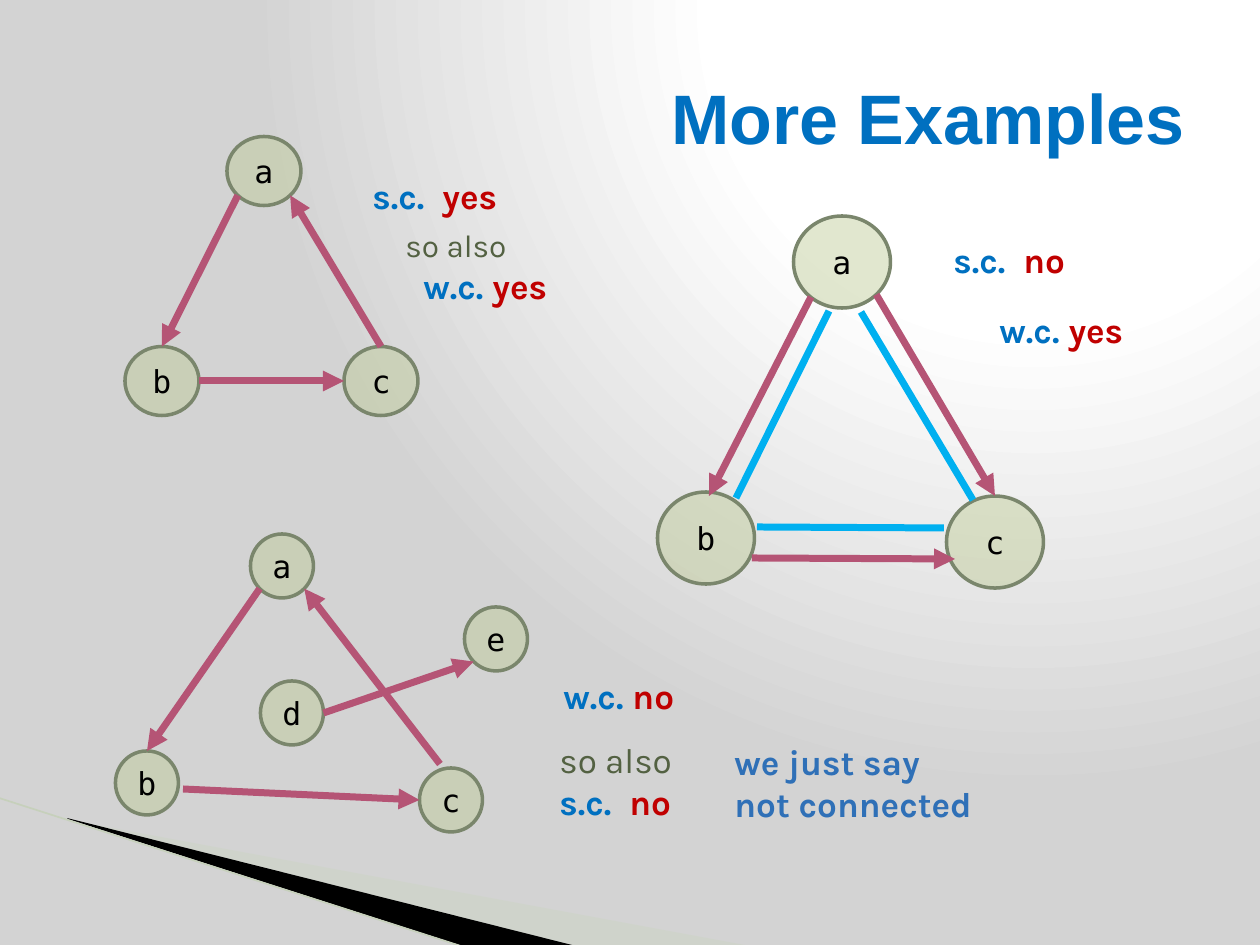
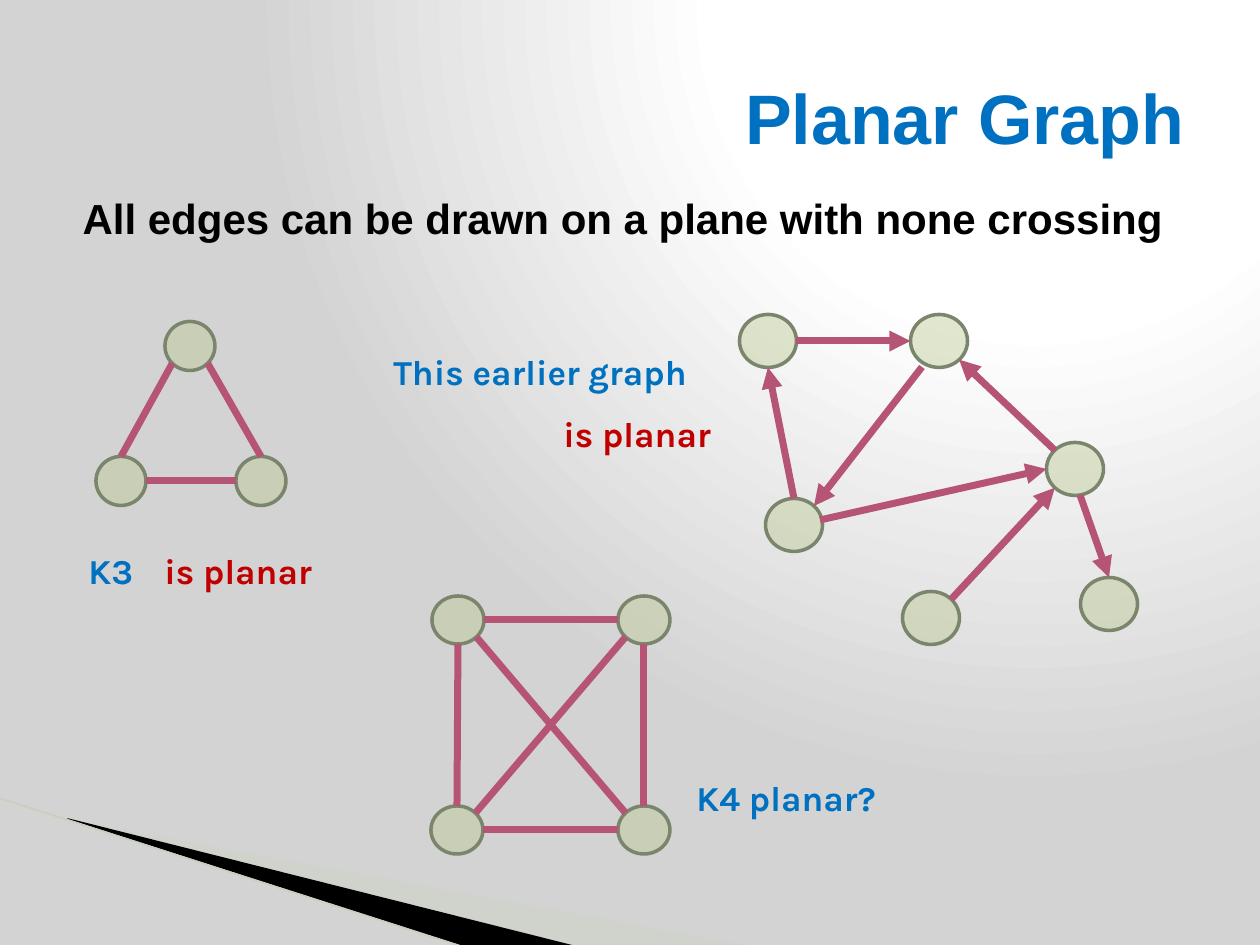
import math
from lxml import etree
from pptx import Presentation
from pptx import util as u
from pptx.dml.color import RGBColor
from pptx.enum import shapes, text
from pptx.oxml import parse_xml
from pptx.oxml.ns import nsdecls, qn

PX = 914400 / 126
BLUE, RED, OLIVE, SAY = "0070C0", "C00000", "536142", "2F70B7"
EDGE, SKY, NODE, RIM = "B55475", "00B0F0", "BECB95", "7A866C"
SITES = {name: math.radians(45 * i) for i, name in
         enumerate(["e", "se", "s", "sw", "w", "nw", "n", "ne"])}
TAB = 70
rgb = RGBColor.from_string


def paint(sp, color, opacity=100):
    sp.shadow.inherit = False
    sp.fill.solid()
    sp.fill.fore_color.rgb = rgb(color)
    if opacity < 100:
        clr = sp.element.spPr.find(qn("a:solidFill"))[0]
        etree.SubElement(clr, qn("a:alpha")).set("val", str(opacity * 1000))


def write(p, words, font, size, color, bold=True):
    r = p.add_run()
    r.text = words
    r.font.name, r.font.size, r.font.bold = font, u.Pt(size), bold
    r.font.color.rgb = rgb(color)


# Graph: node size, node centres, edges (from, to), line colour, arrows.
# Label: box, then paragraphs of (indent, runs).
slides = [
    dict(
        title="More Examples",
        graphs=[
            ((97, 92), dict(a=(842, 262), b=(706, 538), c=(995, 542)),
             [((811, 297), (709, 496)), ("a se", "c n"), ((752, 558), (955, 559))], EDGE, True),
            ((74, 69), dict(a=(264, 171), b=(162, 381), c=(381, 381)),
             [("a sw", "b n"), ("c n", "a se"), ("b e", "c w")], EDGE, True),
            ((63, 64), dict(a=(282, 566), b=(147, 783), c=(451, 800), d=(292, 713), e=(496, 639)),
             [("a sw", "b n"), ((440, 764), "a se"), ((183, 789), "c w"), ("d e", "e sw")],
             EDGE, True),
            ((0, 0), {}, [((829, 311), (736, 498)), ((861, 312), (973, 500)),
                          ((944, 528), (757, 527))], SKY, False),
        ],
        labels=[
            ((941, 232, 169, 55), [(0, [("s.c.\t", BLUE), ("no", RED)])]),
            ((360, 168, 169, 55), [(0, [("s.c.\t", BLUE), ("yes", RED)])]),
            ((551, 668, 169, 55), [(0, [("w.c. ", BLUE), ("no", RED)])]),
            ((722, 734, 322, 97), [(0, [("we just say", SAY)]), (0, [("not connected", SAY)])]),
            ((987, 302, 169, 55), [(0, [("w.c. ", BLUE), ("yes", RED)])]),
            ((393, 220, 188, 93), [(0, [("so also", OLIVE, 18)]),
                                   (18, [("w.c. ", BLUE), ("yes", RED)])]),
            ((547, 732, 169, 97), [(0, [("so also", OLIVE)]),
                                   (0, [("s.c.\t", BLUE), ("no", RED)])]),
        ]),
    dict(
        title="Planar Graph",
        body="All edges can be drawn on a plane with none crossing",
        graphs=[
            ((50, 49), dict(a=(190, 346), b=(121, 481), c=(261, 481)),
             [("b n", "a sw"), ("b e", "c w"), ("a se", "c n")], EDGE, False),
            ((57, 53), dict(a=(768, 341), b=(939, 341), c=(794, 525),
                            d=(931, 618), e=(1109, 604), f=(1075, 469)),
             [("a e", "b w"), ((922, 367), (814, 506)), ((820, 520), "f w"), ("d ne", "f sw"),
              ((1080, 495), "e n"), ("f nw", "b se"), ("c n", "a s")], EDGE, True),
            ((52, 48), dict(a=(458, 620), b=(644, 620), c=(457, 830), d=(644, 830)),
             [("c e", "d w"), ("a s", "c n"), ("b s", "d n"), ("d nw", "a se"),
              ("a e", "b w"), ("b sw", "c ne")], EDGE, False),
        ],
        labels=[
            ((76, 543, 88, 55), [(0, [("K3", BLUE)])]),
            ((152, 543, 189, 55), [(0, [("is planar", RED)])]),
            ((551, 406, 186, 55), [(0, [("is planar", RED)])]),
            ((381, 344, 362, 55), [(0, [("This earlier graph", BLUE)])]),
            ((684, 770, 226, 55), [(0, [("K4 planar?", BLUE)])]),
        ]),
]

prs = Presentation()
prs.slide_width, prs.slide_height = u.Inches(10), u.Inches(7.5)
master = prs.slide_master
master.background.fill.solid()
bg = master.element.find(".//" + qn("p:bgPr"))
stops = "".join(f'<a:gs pos="{pos}000"><a:srgbClr val="{c}"/></a:gs>'
                for pos, c in [(0, "FFFFFF"), (40, "FFFFFF"), (100, "D3D3D3")])
bg.replace(bg[0], parse_xml(
    f'<a:gradFill {nsdecls("a")} rotWithShape="1"><a:gsLst>{stops}</a:gsLst><a:path path="circle">'
    '<a:fillToRect l="65000" t="0" r="0" b="98000"/></a:path></a:gradFill>'))

for n, page in enumerate(slides):
    s = prs.slides.add_slide(prs.slide_layouts[1 if "body" in page else 5])

    if n == 0:
        swoosh = []
        for color, opacity, points in [
                ("CBD4C0", 40, [(69, 820), (750, 946), (575, 946), (69, 819)]),
                ("000000", 100, [(67, 818), (576, 946), (469, 948), (68, 819)])]:
            fb = s.shapes.build_freeform(*points[0], scale=PX)
            fb.add_line_segments(points[1:], close=True)
            sp = fb.convert_to_shape()
            paint(sp, color, opacity)
            sp.line.fill.background()
            swoosh.append(sp)
        cn = s.shapes.add_connector(shapes.MSO_CONNECTOR.STRAIGHT,
                                    *[round(v * PX) for v in (-1, 798, 467, 948)])
        cn.line.color.rgb, cn.line.width = rgb("C6D0BB"), u.Pt(0.95)
        etree.SubElement(cn.element.spPr, qn("a:effectLst"))
        for i, sp in enumerate(swoosh + [cn]):
            sp.element[0][0].set("id", str(101 + i))
            master.shapes.element.insert(2 + i, sp.element)

    ph = s.shapes.title
    ph.left, ph.top, ph.width, ph.height = [round(v * PX) for v in (63, 38, 1134, 157)]
    tf = ph.text_frame
    tf.vertical_anchor = text.MSO_ANCHOR.MIDDLE
    p = tf.paragraphs[0]
    p.alignment = text.PP_ALIGN.RIGHT
    write(p, page["title"], "Arial", 40, BLUE)

    if "body" in page:
        ph = s.placeholders[1]
        ph.left, ph.top, ph.width, ph.height = [round(v * PX) for v in (55, 186, 1134, 638)]
        p = ph.text_frame.paragraphs[0]
        pPr = p._p.get_or_add_pPr()
        pPr.set("marL", str(round(15 * PX)))
        pPr.set("indent", "0")
        etree.SubElement(pPr, qn("a:buNone"))
        write(p, page["body"], "Arial", 24, "000000")

    for (w, h), nodes, edges, color, arrows in page["graphs"]:
        for name, (x, y) in nodes.items():
            sp = s.shapes.add_shape(shapes.MSO_SHAPE.OVAL, *[
                round(v * PX) for v in (x - w / 2, y - h / 2, w, h)])
            paint(sp, NODE, 45)
            sp.line.color.rgb, sp.line.width = rgb(RIM), u.Pt(2)
            if n == 0:
                tf = sp.text_frame
                tf.margin_left = tf.margin_right = tf.margin_top = tf.margin_bottom = 0
                tf.vertical_anchor = text.MSO_ANCHOR.MIDDLE
                p = tf.paragraphs[0]
                p.alignment = text.PP_ALIGN.CENTER
                write(p, name, "DejaVu Sans Mono", 18, "000000", False)
        for edge in edges:
            ends = []
            for end in edge:
                if isinstance(end, str):
                    name, site = end.split()
                    x, y = nodes[name]
                    end = (x + w / 2 * math.cos(SITES[site]), y + h / 2 * math.sin(SITES[site]))
                ends += [round(v * PX) for v in end]
            cn = s.shapes.add_connector(shapes.MSO_CONNECTOR.STRAIGHT, *ends)
            cn.line.color.rgb, cn.line.width = rgb(color), u.Pt(4)
            if arrows:
                ln = cn.element.spPr.find(qn("a:ln"))
                etree.SubElement(ln, qn("a:tailEnd")).set("type", "triangle")
            etree.SubElement(cn.element.spPr, qn("a:effectLst"))

    for box, paragraphs in page["labels"]:
        tf = s.shapes.add_textbox(*[round(v * PX) for v in box]).text_frame
        tf.word_wrap = True
        for i, (indent, runs) in enumerate(paragraphs):
            p = tf.add_paragraph() if i else tf.paragraphs[0]
            pPr = p._p.get_or_add_pPr()
            if indent:
                pPr.set("marL", str(round(indent * PX)))
            if "\t" in runs[0][0]:
                tab = etree.SubElement(etree.SubElement(pPr, qn("a:tabLst")), qn("a:tab"))
                tab.set("pos", str(round(TAB * PX)))
                tab.set("algn", "l")
            for words, color, *size in runs:
                write(p, words, "Karla", size[0] if size else 20, color, color != OLIVE)

prs.save("out.pptx")
